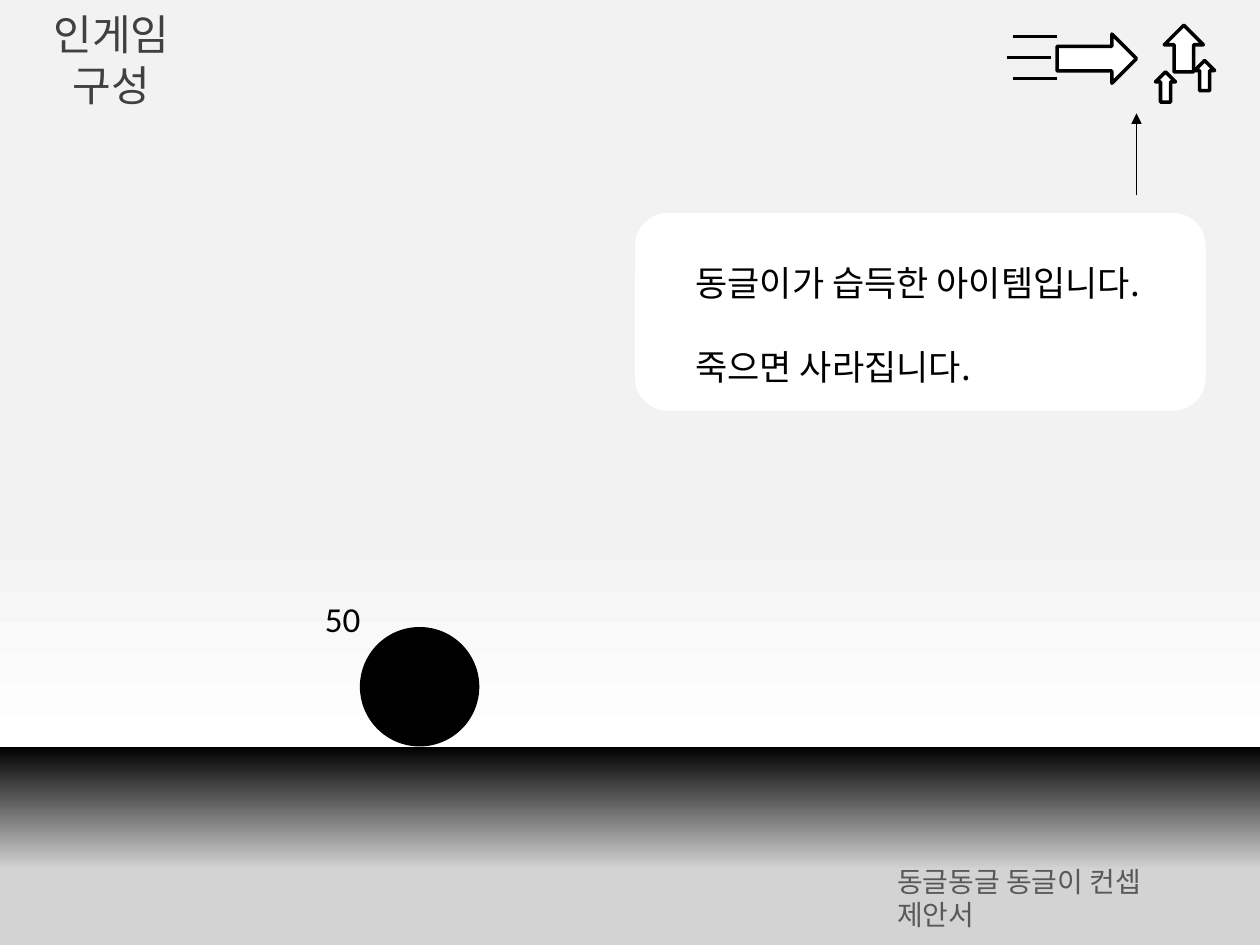
from lxml import etree
from pptx import Presentation
from pptx.dml.color import RGBColor
from pptx.enum.shapes import MSO_CONNECTOR, MSO_SHAPE as Preset
from pptx.enum.text import MSO_ANCHOR as Anchor, MSO_AUTO_SIZE as AutoSize, PP_ALIGN as Align
from pptx.oxml.ns import qn
from pptx.util import Inches, Pt

# Content: boxes are left, top, width, height in inches
KOREAN, LATIN = "Noto Sans CJK KR", "Calibri"
BLACK, WHITE = "000000", "FFFFFF"
TITLE = "인게임 구성"
FOOTER = "동글동글 동글이 컨셉 제안서"
ITEM_NOTE = ["동글이가 습득한 아이템입니다.", "죽으면 사라집니다."]
BALL_SCORE = "50"
SKY_AND_GROUND = [(56, "F2F2F2"), (79, WHITE), (79, BLACK), (92, "D3D3D3")]
SPEED_LINES = [(8.04, 0.29), (7.99, 0.46), (8.04, 0.62)]
SPEED_LINE_LENGTH = 0.35
JUMP_ARROWS = [(9.17, 0.57, 0.16, 0.24), (9.24, 0.2, 0.31, 0.37), (9.48, 0.48, 0.16, 0.24)]


def color(value):
    return RGBColor.from_string(value)


def add_element(parent, tag, **attributes):
    return etree.SubElement(parent, qn(tag), **attributes)


def paint_background(slide, stops):
    fill = slide.background.fill
    fill.gradient()
    fill.gradient_angle = 270  # counter-clockwise, so top to bottom
    stop_list = fill.gradient_stops[0]._gs.getparent()
    for stop in list(stop_list):
        stop_list.remove(stop)
    for percent, value in stops:
        stop = add_element(stop_list, "a:gs", pos=str(percent * 1000))
        add_element(stop, "a:srgbClr", val=value)


def add_figure(slide, preset, box, fill, line_width=None, rotation=0):
    shape = slide.shapes.add_shape(preset, *map(Inches, box))
    shape.shadow.inherit = False
    shape.rotation = rotation
    shape.fill.solid()
    shape.fill.fore_color.rgb = color(fill)
    if line_width:
        shape.line.color.rgb = color(BLACK)
        shape.line.width = Pt(line_width)
    else:
        shape.line.fill.background()
    return shape


def add_line(slide, start, end, width, arrow=False):
    line = slide.shapes.add_connector(MSO_CONNECTOR.STRAIGHT, *map(Inches, start + end))
    line.line.color.rgb = color(BLACK)
    line.line.width = Pt(width)
    if arrow:
        add_element(line.line._get_or_add_ln(), "a:tailEnd", type="triangle")
    add_element(line._element.spPr, "a:effectLst")


def write_text(shape, lines, size, font, value, align=Align.LEFT, spacing=1.0):
    frame = shape.text_frame
    frame.text = "\n".join(lines)
    frame.word_wrap = True
    for paragraph in frame.paragraphs:
        paragraph.alignment = align
        paragraph.line_spacing = spacing
        for run in paragraph.runs:
            run.font.size = Pt(size)
            run.font.name = font
            run.font.color.rgb = color(value)
            add_element(run.font._element, "a:ea", typeface=font)
    return frame


def add_text(slide, box, *text, **options):
    return write_text(slide.shapes.add_textbox(*map(Inches, box)), *text, **options)


def main():
    presentation = Presentation()
    presentation.slide_width, presentation.slide_height = Inches(10), Inches(7.5)
    slide = presentation.slides.add_slide(presentation.slide_layouts[5])
    paint_background(slide, SKY_AND_GROUND)

    # Title
    title = slide.shapes.title
    title.left, title.top, title.width, title.height = map(Inches, (0, 0.02, 1.77, 0.5))
    frame = write_text(title, [TITLE], 24, KOREAN, "404040", align=Align.CENTER)
    frame.vertical_anchor = Anchor.TOP
    frame.auto_size = AutoSize.SHAPE_TO_FIT_TEXT

    # Note on the collected items
    add_figure(slide, Preset.ROUNDED_RECTANGLE, (5.04, 1.69, 4.53, 1.57), WHITE)
    frame = add_text(slide, (5.42, 1.69, 3.77, 1.35), ITEM_NOTE, 20, KOREAN, BLACK, spacing=2.0)
    frame.auto_size = AutoSize.SHAPE_TO_FIT_TEXT

    # Footer
    frame = add_text(slide, (6.99, 6.98, 2.81, 0.29), [FOOTER], 16, KOREAN, "595959")
    frame.vertical_anchor = Anchor.MIDDLE
    frame.margin_left = frame.margin_right = Inches(0.13)
    frame.margin_top = frame.margin_bottom = Inches(0.07)

    # Ball and its score
    frame = add_text(slide, (2.48, 4.69, 0.55, 0.44), [BALL_SCORE], 20, LATIN, BLACK)
    frame.auto_size = AutoSize.SHAPE_TO_FIT_TEXT
    add_figure(slide, Preset.OVAL, (2.87, 4.99, 0.92, 0.92), BLACK, 2)

    # Dash item
    add_figure(slide, Preset.RIGHT_ARROW, (8.39, 0.27, 0.63, 0.39), WHITE, 2)
    for left, top in SPEED_LINES:
        add_line(slide, (left, top), (left + SPEED_LINE_LENGTH, top), 1.75)

    # Jump item
    for box in JUMP_ARROWS:
        add_figure(slide, Preset.DOWN_ARROW, box, WHITE, 2, rotation=180)

    # Pointer from the note to the items
    add_line(slide, (9.02, 1.55), (9.02, 0.9), 0.75, arrow=True)

    presentation.save("out.pptx")


if __name__ == "__main__":
    main()
